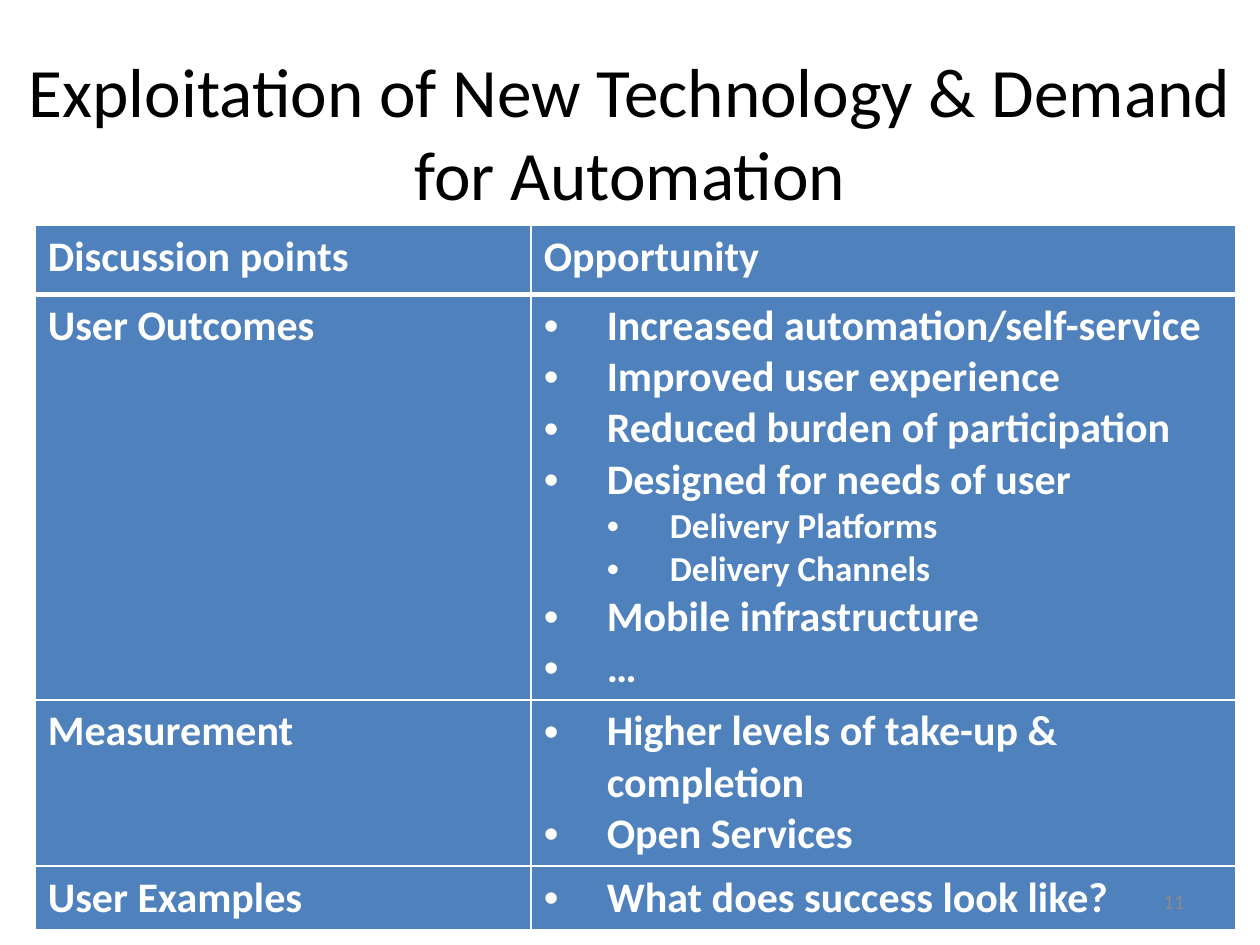
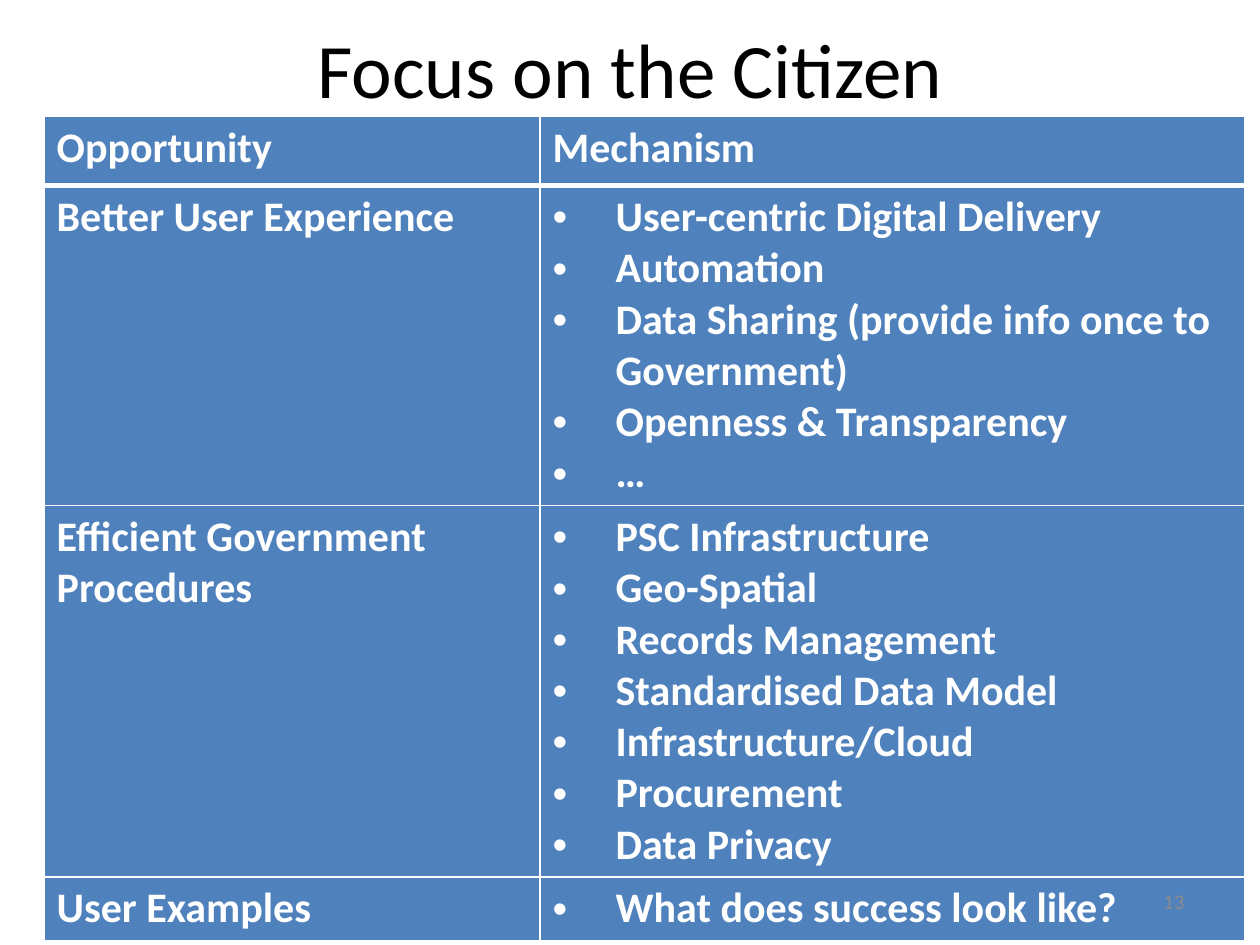
from dataclasses import dataclass

from lxml import etree
from pptx import Presentation, util as u
from pptx.dml.color import RGBColor
from pptx.enum import text
from pptx.oxml import ns


@dataclass(frozen=True)
class Theme:
    font: str = "Calibri"
    ink: RGBColor = RGBColor(0, 0, 0)
    paper: RGBColor = RGBColor(255, 255, 255)
    cell: RGBColor = RGBColor(0x4F, 0x81, 0xBD)
    number: RGBColor = RGBColor(0x8B, 0x8B, 0x8B)
    body_size: float = 24
    sub_size: float = 20
    number_size: float = 12
    rule: float = 1
    header_rule: float = 3


THEME = Theme()
WIDTH, HEIGHT = u.Inches(10), u.Inches(7.5)

# Table measures: shares of the slide, and row heights in lines of body text
TABLE_WIDTH = 0.953
COLUMN_SHARES = (0.413, 0.587)
HEADER_HEIGHT = u.Inches(0.55)
LINE_HEIGHT = u.Pt(THEME.body_size * 1.22)
CELL_PADDING = u.Inches(0.1)
BULLET_INDENT = u.Inches(0.5)


def across(share):
    return round(WIDTH * share)


def down(share):
    return round(HEIGHT * share)


def style(paragraph, size, color, bold=False):
    font = paragraph.font
    font.name, font.size, font.bold = THEME.font, u.Pt(size), bold
    font.color.rgb = color


def add_label(slide, box, wording, size, color, alignment):
    """Add a wrapped, vertically centred text box; box is in slide shares."""
    left, top, width, height = box
    shape = slide.shapes.add_textbox(
        across(left), down(top), across(width), down(height))
    frame = shape.text_frame
    frame.word_wrap = True
    frame.vertical_anchor = text.MSO_ANCHOR.MIDDLE
    paragraph = frame.paragraphs[0]
    paragraph.text = wording
    paragraph.alignment = alignment
    style(paragraph, size, color)


def add_bullet(paragraph, level):
    properties = paragraph._p.get_or_add_pPr()
    properties.set("marL", str(BULLET_INDENT * (level + 1)))
    properties.set("indent", str(-BULLET_INDENT))
    etree.SubElement(properties, ns.qn("a:buFont"), typeface="Arial")
    etree.SubElement(properties, ns.qn("a:buChar"), char="•")


def set_borders(cell, widths):
    """Draw the cell's edges; widths maps L, R, T and B to points."""
    properties = cell._tc.get_or_add_tcPr()
    for position, (side, width) in enumerate(widths.items()):
        line = etree.Element(ns.qn(f"a:ln{side}"), w=str(u.Pt(width)))
        fill = etree.SubElement(line, ns.qn("a:solidFill"))
        etree.SubElement(fill, ns.qn("a:srgbClr"), val=str(THEME.paper))
        properties.insert(position, line)


def fill_cell(cell, entries, bulleted, row):
    """Write one paragraph per entry; a (wording,) tuple is a sub-point."""
    cell.fill.solid()
    cell.fill.fore_color.rgb = THEME.cell
    widths = dict.fromkeys("LRTB", THEME.rule)
    if row < 2:
        widths["T" if row else "B"] = THEME.header_rule
    set_borders(cell, widths)
    frame = cell.text_frame
    for index, entry in enumerate(entries):
        paragraph = frame.add_paragraph() if index else frame.paragraphs[0]
        level = int(isinstance(entry, tuple))
        paragraph.text = entry[0] if level else entry
        paragraph.level = level
        size = THEME.sub_size if level else THEME.body_size
        style(paragraph, size, THEME.paper, bold=True)
        if bulleted:
            add_bullet(paragraph, level)


def add_topic_table(slide, left, top, header, topics):
    """Add a two-column table; each topic is (name, points, lines)."""
    heights = [HEADER_HEIGHT] + [
        round(lines * LINE_HEIGHT + CELL_PADDING) for _, _, lines in topics]
    frame = slide.shapes.add_table(
        len(heights), 2, across(left), down(top),
        across(TABLE_WIDTH), sum(heights))
    table = frame.table
    for column, share in zip(table.columns, COLUMN_SHARES):
        column.width = across(TABLE_WIDTH * share)
    for row, height in zip(table.rows, heights):
        row.height = height
    for index, wording in enumerate(header):
        fill_cell(table.cell(0, index), [wording], False, 0)
    for row, (name, points, _) in enumerate(topics, start=1):
        fill_cell(table.cell(row, 0), [name], False, row)
        fill_cell(table.cell(row, 1), points, True, row)


def add_topic_slide(presentation, title, title_box, title_size, corner,
                    header, topics, number):
    slide = presentation.slides.add_slide(presentation.slide_layouts[6])
    add_label(slide, title_box, title, title_size, THEME.ink,
              text.PP_ALIGN.CENTER)
    add_topic_table(slide, *corner, header, topics)
    add_label(slide, (0.717, 0.927, 0.233, 0.053), number,
              THEME.number_size, THEME.number, text.PP_ALIGN.RIGHT)


def main():
    presentation = Presentation()
    presentation.slide_width, presentation.slide_height = WIDTH, HEIGHT
    examples = ("User Examples", ["What does success look like?"], 1)

    # New technology and automation
    add_topic_slide(
        presentation,
        "Exploitation of New Technology & Demand for Automation",
        (0.012, 0.039, 0.976, 0.2), 39.6, (0.028, 0.238),
        ("Discussion points", "Opportunity"),
        [("User Outcomes",
          ["Increased automation/self-service", "Improved user experience",
           "Reduced burden of participation", "Designed for needs of user",
           ("Delivery Platforms",), ("Delivery Channels",),
           "Mobile infrastructure", "…"], 7.67),
         ("Measurement",
          ["Higher levels of take-up & completion", "Open Services"], 3),
         examples],
        "11")

    # Citizen focus
    add_topic_slide(
        presentation, "Focus on the Citizen",
        (0.05, 0, 0.9, 0.143), 44, (0.035, 0.123),
        ("Opportunity", "Mechanism"),
        [("Better User Experience",
          ["User-centric Digital Delivery", "Automation",
           "Data Sharing (provide info once to Government)",
           "Openness & Transparency", "…"], 6),
         ("Efficient Government Procedures",
          ["PSC Infrastructure", "Geo-Spatial", "Records Management",
           "Standardised Data Model", "Infrastructure/Cloud",
           "Procurement", "Data Privacy"], 7),
         examples],
        "13")

    presentation.save("out.pptx")


if __name__ == "__main__":
    main()
